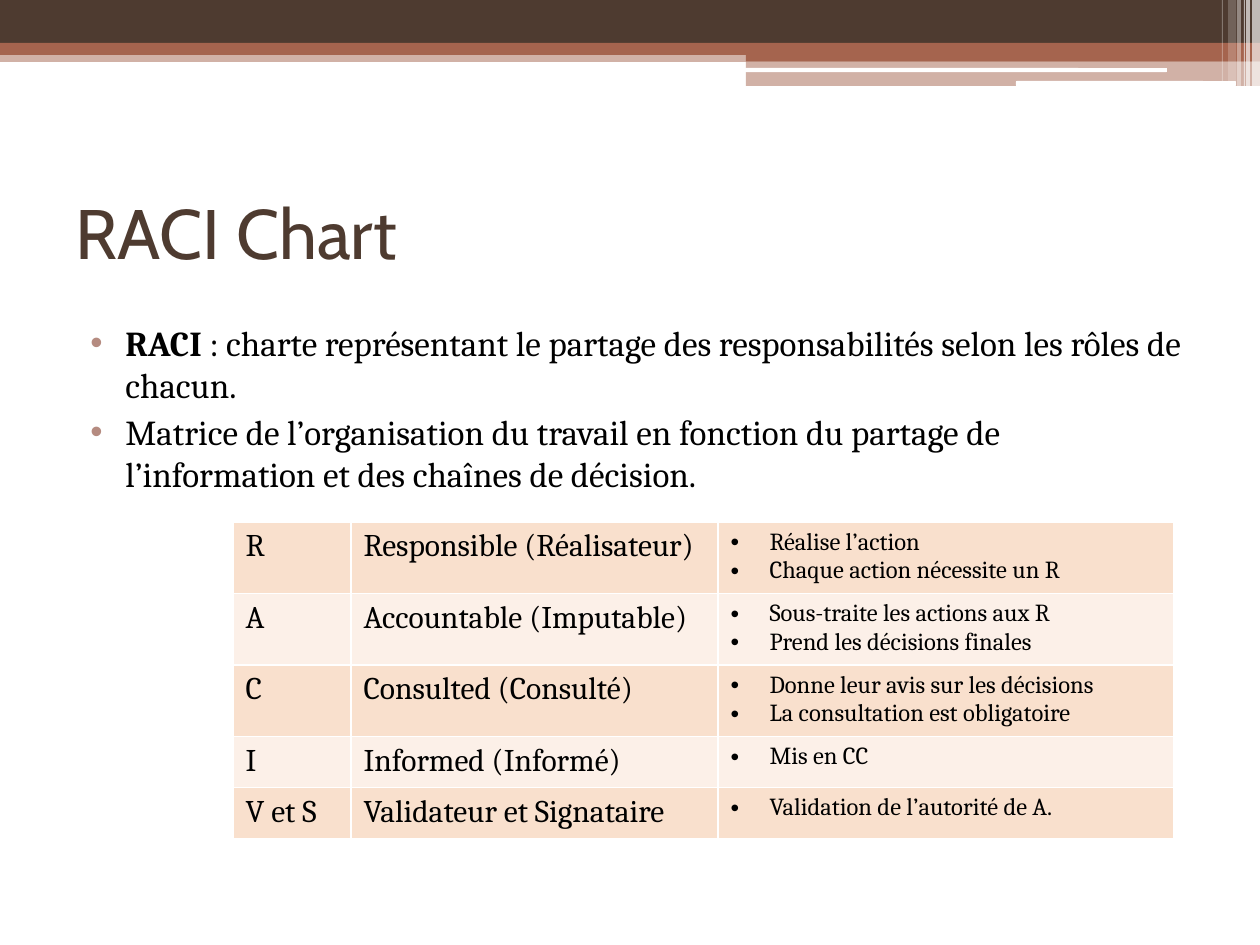
from lxml.etree import SubElement
from pptx import Presentation
from pptx.dml.color import RGBColor
from pptx.enum.shapes import MSO_SHAPE
from pptx.enum.text import MSO_ANCHOR
from pptx.oxml.ns import qn
from pptx.util import Pt

SCALE = 914400 / 126
COLORS = {
    "brown": "4E3B30",
    "rust": "A5644E",
    "white": "FFFFFF",
    "black": "000000",
    "bullet": "B58B80",
    "band_dark": "F9E0CD",
    "band_light": "FCF0E8",
}
TITLE_FORMAT = {"name": "Cabin", "size": Pt(40), "bold": False}
BODY_FORMAT = {"name": "Cambria", "size": Pt(20), "bold": False}
LABEL_FORMAT = {"name": "Cambria", "size": Pt(18), "bold": False}
DETAIL_FORMAT = {"name": "Cambria", "size": Pt(14), "bold": False}

BANDS = [
    (0, 50, 1260, 12, "rust", 50),
    (0, 0, 1260, 43, "brown", 100),
    (0, 43, 1260, 12, "rust", 100),
    (746, 49, 514, 12, "rust", 100),
    (746, 61, 514, 25, "rust", 50),
]
BARS = [(745, 68, 422, 4), (1016, 81, 220, 5)]
STRIPES = [
    (1252, 8, 86, 65),
    (1246, 4, 86, 65),
    (1244, 1, 86, 60),
    (1237, 4, 86, 40),
    (1228, 8, 81, 20),
    (1222, 1, 81, 30),
]
BODY = [
    [("RACI ", True), (": charte représentant le partage des responsabilités selon les rôles de chacun.", False)],
    [("Matrice de l’organisation du travail en fonction du partage de l’information et des chaînes de décision.", False)],
]
COLUMN_WIDTHS = [118, 367, 456]
ROW_HEIGHTS = [69, 69, 69, 51, 51]
ROLES = [
    ("R", "Responsible (Réalisateur)", ["Réalise l’action", "Chaque action nécessite un R"]),
    ("A", "Accountable (Imputable)", ["Sous-traite les actions aux R", "Prend les décisions finales"]),
    ("C", "Consulted (Consulté)", ["Donne leur avis sur les décisions", "La consultation est obligatoire"]),
    ("I", "Informed (Informé)", ["Mis en CC"]),
    ("V et S", "Validateur et Signataire", ["Validation de l’autorité de A."]),
]


def px(length):
    return round(length * SCALE)


def color(name):
    return RGBColor.from_string(COLORS[name])


def add_block(page, left, top, width, height, fill, opacity=100, kind=MSO_SHAPE.RECTANGLE):
    block = page.shapes.add_shape(kind, px(left), px(top), px(width), px(height))
    block.shadow.inherit = False
    block.fill.solid()
    block.fill.fore_color.rgb = color(fill)
    block.line.fill.background()
    if opacity < 100:
        tint = block.fill._xPr.find(qn("a:solidFill"))[0]
        SubElement(tint, qn("a:alpha"), val=str(opacity * 1000))


def add_span(paragraph, text, formats, fill="black"):
    span = paragraph.add_run()
    span.text = text
    for key, value in formats.items():
        setattr(span.font, key, value)
    span.font.color.rgb = color(fill)


def add_bullet(paragraph, margin, hanging, fill):
    properties = paragraph._p.get_or_add_pPr()
    properties.set("marL", str(px(margin)))
    properties.set("indent", str(-px(hanging)))
    tint = SubElement(properties, qn("a:buClr"))
    SubElement(tint, qn("a:srgbClr"), val=COLORS[fill])
    SubElement(properties, qn("a:buFont"), typeface="Arial")
    SubElement(properties, qn("a:buChar"), char="•")


def paragraphs_for(frame, items):
    for index, item in enumerate(items):
        yield (frame.add_paragraph() if index else frame.paragraphs[0]), item


def add_box(page, left, top, width, height, anchor):
    box = page.shapes.add_textbox(px(left), px(top), px(width), px(height))
    box.text_frame.word_wrap = True
    box.text_frame.vertical_anchor = anchor
    return box.text_frame


def add_header(page):
    for band in BANDS:
        add_block(page, *band)
    for bar in BARS:
        add_block(page, *bar, "white", kind=MSO_SHAPE.ROUNDED_RECTANGLE)
    for left, width, height, opacity in STRIPES:
        add_block(page, left, 0, width, height, "white", opacity)


def add_title(page):
    frame = add_box(page, 63, 158, 1134, 147, MSO_ANCHOR.MIDDLE)
    add_span(frame.paragraphs[0], "RACI Chart", TITLE_FORMAT, "brown")


def add_body(page):
    frame = add_box(page, 63, 315, 1134, 190, MSO_ANCHOR.TOP)
    for index, (paragraph, spans) in enumerate(paragraphs_for(frame, BODY)):
        add_bullet(paragraph, 50, 35, "bullet")
        if index:
            paragraph.space_before = Pt(3)
        for text, bold in spans:
            add_span(paragraph, text, {**BODY_FORMAT, "bold": bold})


def style_cell(cell, fill):
    properties = cell._tc.get_or_add_tcPr()
    for side in ("lnL", "lnR", "lnT", "lnB"):
        border = SubElement(properties, qn(f"a:{side}"), w=str(Pt(1)))
        paint = SubElement(border, qn("a:solidFill"))
        SubElement(paint, qn("a:srgbClr"), val=COLORS["white"])
    cell.fill.solid()
    cell.fill.fore_color.rgb = color(fill)


def add_roles_table(page):
    table = page.shapes.add_table(
        len(ROLES), len(COLUMN_WIDTHS), px(233), px(522), px(sum(COLUMN_WIDTHS)), px(sum(ROW_HEIGHTS))
    ).table
    table.first_row = table.horz_banding = False
    for column, width in zip(table.columns, COLUMN_WIDTHS):
        column.width = px(width)
    for index, (row, height, role) in enumerate(zip(table.rows, ROW_HEIGHTS, ROLES)):
        row.height = px(height)
        for cell in row.cells:
            style_cell(cell, "band_light" if index % 2 else "band_dark")
        letter, name, details = role
        for cell, text in zip(row.cells, (letter, name)):
            add_span(cell.text_frame.paragraphs[0], text, LABEL_FORMAT)
        for paragraph, text in paragraphs_for(row.cells[2].text_frame, details):
            add_bullet(paragraph, 39, 39, "black")
            add_span(paragraph, text, DETAIL_FORMAT)


def main():
    deck = Presentation()
    deck.slide_width, deck.slide_height = px(1260), px(945)
    page = deck.slides.add_slide(deck.slide_layouts[6])
    add_header(page)
    add_title(page)
    add_body(page)
    add_roles_table(page)
    deck.save("out.pptx")


if __name__ == "__main__":
    main()
